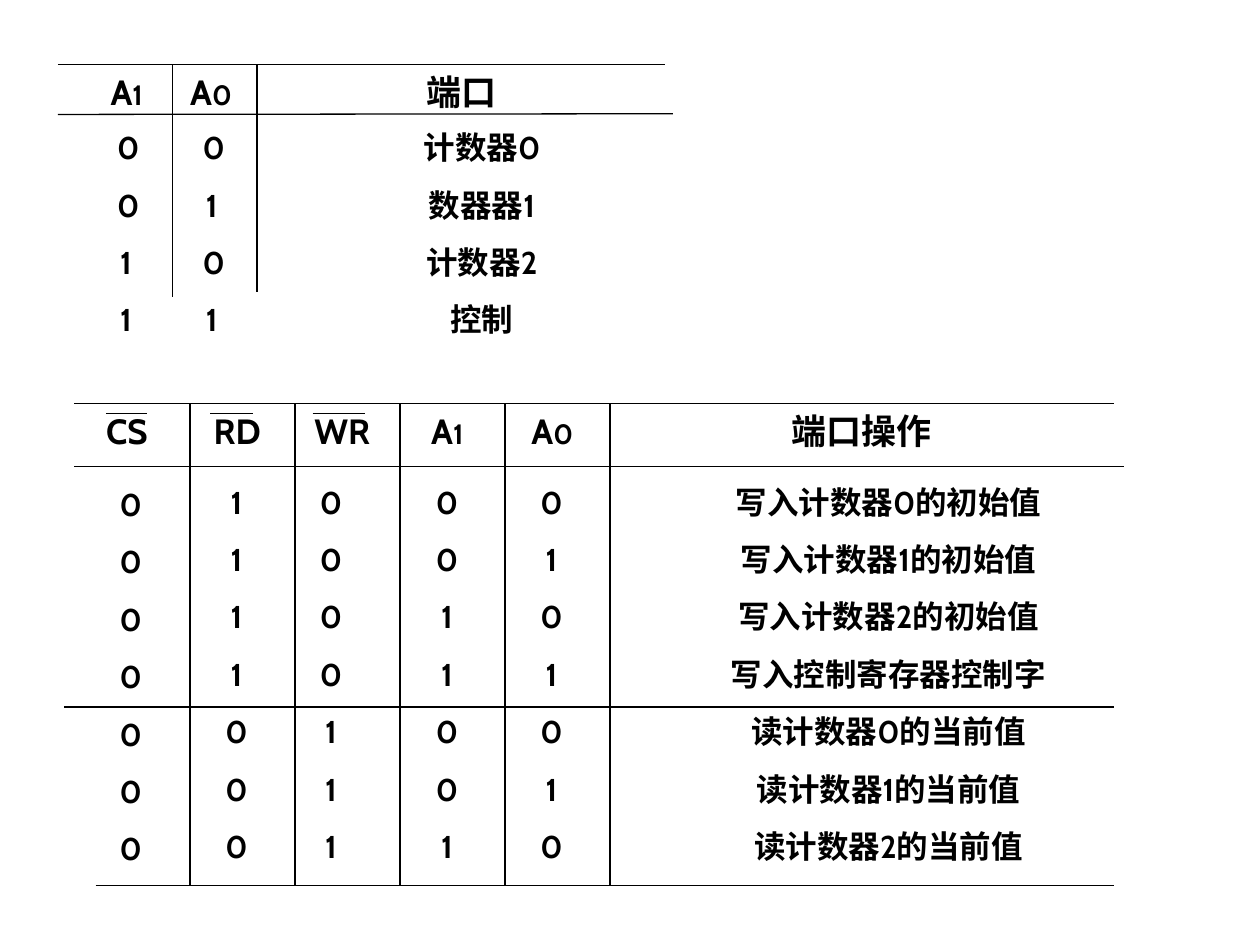
from pptx import Presentation
from pptx import util as u
from pptx.dml.color import RGBColor
from pptx.enum import shapes, text
from pptx.oxml.ns import qn
from lxml import etree

COLORS = {"ink": "000000", "page": "FFFFFF"}
FONT = "Cabin"
HEAD_SIZE, SUB_SIZE, BODY_SIZE, ROW_GAP = 20, 16, 18, 11.2

# Columns: (header, subscript, header left, header width,
#           body left, body width, body drop, values)
PORTS = {
    "head_top": 36.7, "body_top": 69.8, "body_height": 127.4,
    "columns": [
        ("A", "1", 50.4, 44, 59.8, 24.5, 0, "0011"),
        ("A", "0", 98.6, 44, 108.7, 24.5, 0, "0101"),
        ("端口", "", 181.4, 165, 171.4, 208, 0,
         ["计数器0", "数器器1", "计数器2", "控制"]),
    ],
    "lines": [
        (33.1, 36.7, 380.2, 36.7), (33.1, 65.4, 384.5, 65),
        (98.6, 36.7, 98.6, 169.9), (146.9, 36.7, 146.9, 167),
    ],
}

TOP, BOTTOM, RIGHT = 230.4, 506.2, 636.5
RULE_LEFT, RULE_STEP = 108.6, 60
rules = [RULE_LEFT + RULE_STEP * i for i in range(5)]

OPERATIONS = {
    "head_top": TOP, "body_top": 272.2, "body_height": 226,
    "columns": [
        ("CS", "", 42.5, 60, 59.8, 30, 1.4, "0000000"),
        ("RD", "", rules[0], 54, 120.2, 30, 0, "1111000"),
        ("WR", "", rules[1], 54, 174.2, 30, 0, "0000111"),
        ("A", "1", rules[2], 54, 240.5, 30, 0, "0011001"),
        ("A", "0", rules[3], 54, 300.2, 30, 0, "0101010"),
        ("端口操作", "", 390.2, 204, 378.7, 258, 0,
         ["写入计数器0的初始值", "写入计数器1的初始值", "写入计数器2的初始值",
          "写入控制寄存器控制字", "读计数器0的当前值", "读计数器1的当前值",
          "读计数器2的当前值"]),
    ],
    "lines": [
        (42.5, TOP, RIGHT, TOP), (42.5, 266.4, 642.2, 266.4),
        (36.7, 404, RIGHT, 404), (54.7, BOTTOM, RIGHT, BOTTOM),
        # Overbars of the active-low signals
        (60.5, 236.2, 84.2, 236.2), (120.2, 236.2, 144.7, 236.2),
        (178.6, 236.2, 208.8, 236.2),
    ] + [(x, TOP, x, BOTTOM) for x in rules],
}


def rgb(name):
    return RGBColor.from_string(COLORS[name])


def style(r, size):
    r.font.name, r.font.size, r.font.bold = FONT, u.Pt(size), True
    r.font.color.rgb = rgb("ink")


def add_text(slide, left, top, width, height, lines, size, subscript=""):
    sp = slide.shapes.add_textbox(*map(u.Pt, (left, top, width, height)))
    tf = sp.text_frame
    tf.word_wrap = True
    tf.text = "\n".join(lines)
    for i, p in enumerate(tf.paragraphs):
        p.alignment = text.PP_ALIGN.CENTER
        if i:
            p.space_before = u.Pt(ROW_GAP)
        style(p.runs[0], size)
    if subscript:
        r = tf.paragraphs[0].add_run()
        r.text = subscript
        style(r, SUB_SIZE)


def add_line(slide, *ends):
    line = slide.shapes.add_connector(shapes.MSO_CONNECTOR.STRAIGHT, *map(u.Pt, ends))
    line.line.color.rgb = rgb("ink")
    line.line.width = u.Pt(0.75)
    etree.SubElement(line._element.spPr, qn("a:effectLst"))


def add_grid(slide, grid):
    for ends in grid["lines"]:
        add_line(slide, *ends)
    for head, sub, head_x, head_w, body_x, body_w, drop, values in grid["columns"]:
        add_text(slide, head_x, grid["head_top"], head_w, 31.7, [head], HEAD_SIZE, sub)
        add_text(slide, body_x, grid["body_top"] + drop, body_w,
                 grid["body_height"], values, BODY_SIZE)


def main():
    prs = Presentation()
    prs.slide_width, prs.slide_height = u.Pt(720), u.Pt(540)
    slide = prs.slides.add_slide(prs.slide_layouts[6])
    slide.background.fill.solid()
    slide.background.fill.fore_color.rgb = rgb("page")
    for grid in (OPERATIONS, PORTS):
        add_grid(slide, grid)
    prs.save("out.pptx")


if __name__ == "__main__":
    main()
